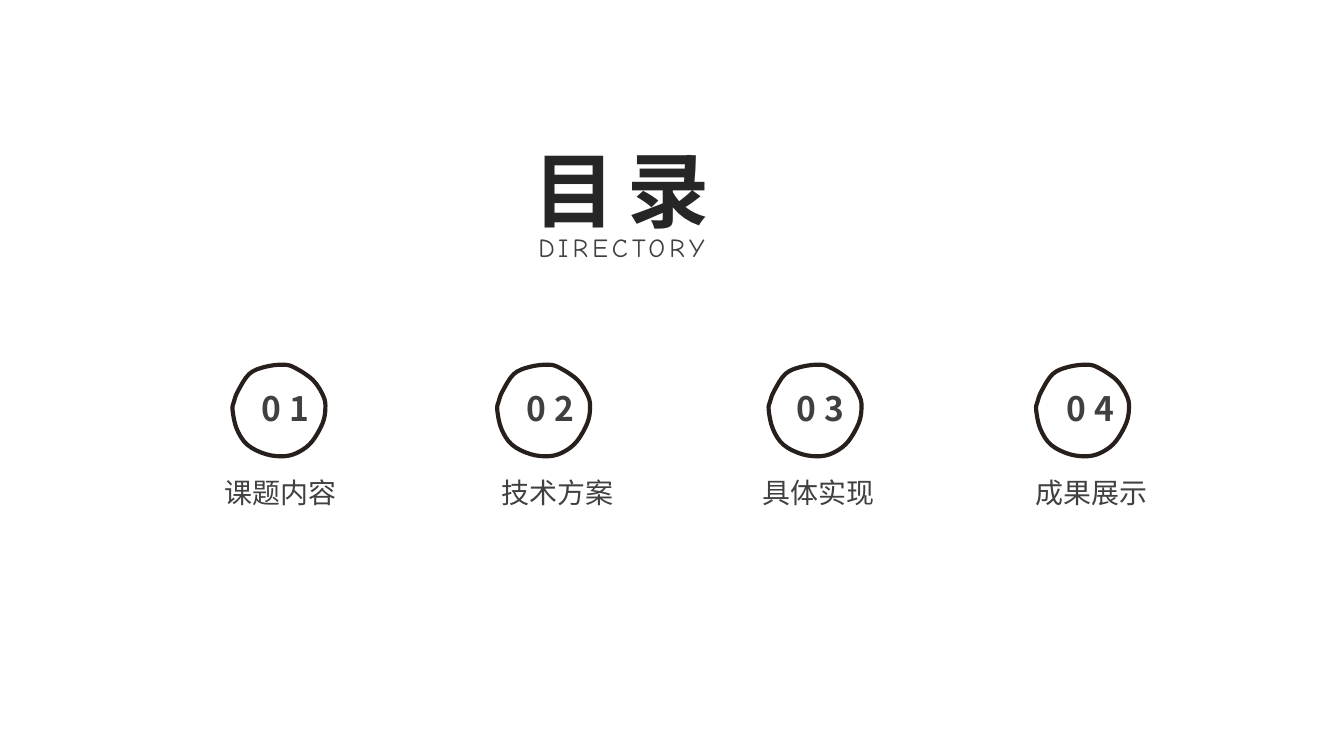
from lxml import etree
from pptx import Presentation
from pptx.dml.color import RGBColor
from pptx.enum.text import MSO_ANCHOR, MSO_AUTO_SIZE, PP_ALIGN
from pptx.oxml.ns import qn
from pptx.util import Pt

LEFT, CENTER = PP_ALIGN.LEFT, PP_ALIGN.CENTER
TOP = MSO_ANCHOR.TOP
NO_AUTOFIT = MSO_AUTO_SIZE.NONE

SANS_JP, SANS_SC, COMIC = "Noto Sans CJK JP", "Noto Sans CJK SC", "Comic Neue"
INK, GREY, RING = "262626", "404040", "261F1C"

TITLE = ("目录", (275, 72, 116, 59))
SUBTITLE = ("DIRECTORY", (283, 121, 113.8, 22.3))

# number, label, ring left, number left, label left
SECTIONS = [
    ("01", "课题内容", 124.6, 130.3, 54),
    ("02", "技术方案", 266.4, 272.2, 202.3),
    ("03", "具体实现", 411.8, 416.9, 342),
    ("04", "成果展示", 555.1, 561.6, 488.2),
]
RING_TOP, NUMBER_TOP, LABEL_TOP = 194.4, 205.2, 252
NUMBER_SIZE, LABEL_SIZE = (45.4, 27.4), (193, 23.8)
RING_ANCHORS = [
    (0, 25.2), (0.7, 20.9), (2.9, 15.1), (8.9, 6), (17.3, 2.2), (27.4, 1),
    (33.8, 2.9), (43.2, 9.4), (48.7, 18), (49.7, 24.5), (48.2, 32.4),
    (42.7, 42), (36, 47.5), (28.1, 50), (18, 49), (7.9, 43.9), (2.2, 35.3),
]


def color(value):
    return RGBColor.from_string(value)


def write(shape, text, font_name, size, ink, bold=False, spacing=0, align=CENTER, wrap=True):
    frame = shape.text_frame
    frame.auto_size = NO_AUTOFIT
    frame.word_wrap = wrap
    frame.vertical_anchor = TOP
    frame.margin_left = frame.margin_right = Pt(5.4)
    frame.margin_top = frame.margin_bottom = Pt(2.7)
    paragraph = frame.paragraphs[0]
    paragraph.alignment = align
    run = paragraph.add_run()
    run.text = text
    run.font.size = Pt(size)
    run.font.bold = bold
    run.font.color.rgb = color(ink)
    run.font.name = font_name
    properties = run.font._element if hasattr(run.font, "_element") else run._r.get_or_add_rPr()
    properties.set("spc", str(round(spacing * 100)))
    etree.SubElement(properties, qn("a:ea")).set("typeface", font_name)


def add_text(slide, box, *args, **options):
    write(slide.shapes.add_textbox(*map(Pt, box)), *args, **options)


def curve_points(anchors):
    count = len(anchors)
    points = []
    for index in range(count):
        before, start, end, after = (anchors[(index + step) % count] for step in (-1, 0, 1, 2))
        points.append(tuple(s + (e - b) / 6 for b, s, e in zip(before, start, end)))
        points.append(tuple(e - (a - s) / 6 for s, e, a in zip(start, end, after)))
        points.append(end)
    return points


def add_ring(slide, left, top):
    def place(point):
        return Pt(left + point[0]), Pt(top + point[1])

    builder = slide.shapes.build_freeform(*place(RING_ANCHORS[0]))
    builder.add_line_segments([place(point) for point in curve_points(RING_ANCHORS)])
    ring = builder.convert_to_shape()
    lines = list(ring.element.iter(qn("a:lnTo")))
    for index in range(0, len(lines), 3):
        curve = etree.Element(qn("a:cubicBezTo"))
        lines[index].addprevious(curve)
        for line in lines[index:index + 3]:
            curve.append(line[0])
            line.getparent().remove(line)
    ring.shadow.inherit = False
    ring.fill.background()
    ring.line.color.rgb = color(RING)
    ring.line.width = Pt(2.25)


def main():
    presentation = Presentation()
    presentation.slide_width, presentation.slide_height = Pt(720), Pt(405)
    slide = presentation.slides.add_slide(presentation.slide_layouts[5])

    text, box = TITLE
    title = slide.shapes.title
    title.left, title.top, title.width, title.height = map(Pt, box)
    write(title, text, SANS_JP, 44, INK, bold=True, spacing=6)

    text, box = SUBTITLE
    add_text(slide, box, text, COMIC, 14, GREY, spacing=2.2, align=LEFT, wrap=False)

    for number, label, ring_left, number_left, label_left in SECTIONS:
        add_ring(slide, ring_left, RING_TOP)
        add_text(slide, (number_left, NUMBER_TOP, *NUMBER_SIZE), number,
                 SANS_JP, 18, GREY, bold=True, spacing=4.5)
        add_text(slide, (label_left, LABEL_TOP, *LABEL_SIZE), label, SANS_SC, 15, GREY)

    presentation.save("out.pptx")


if __name__ == "__main__":
    main()
